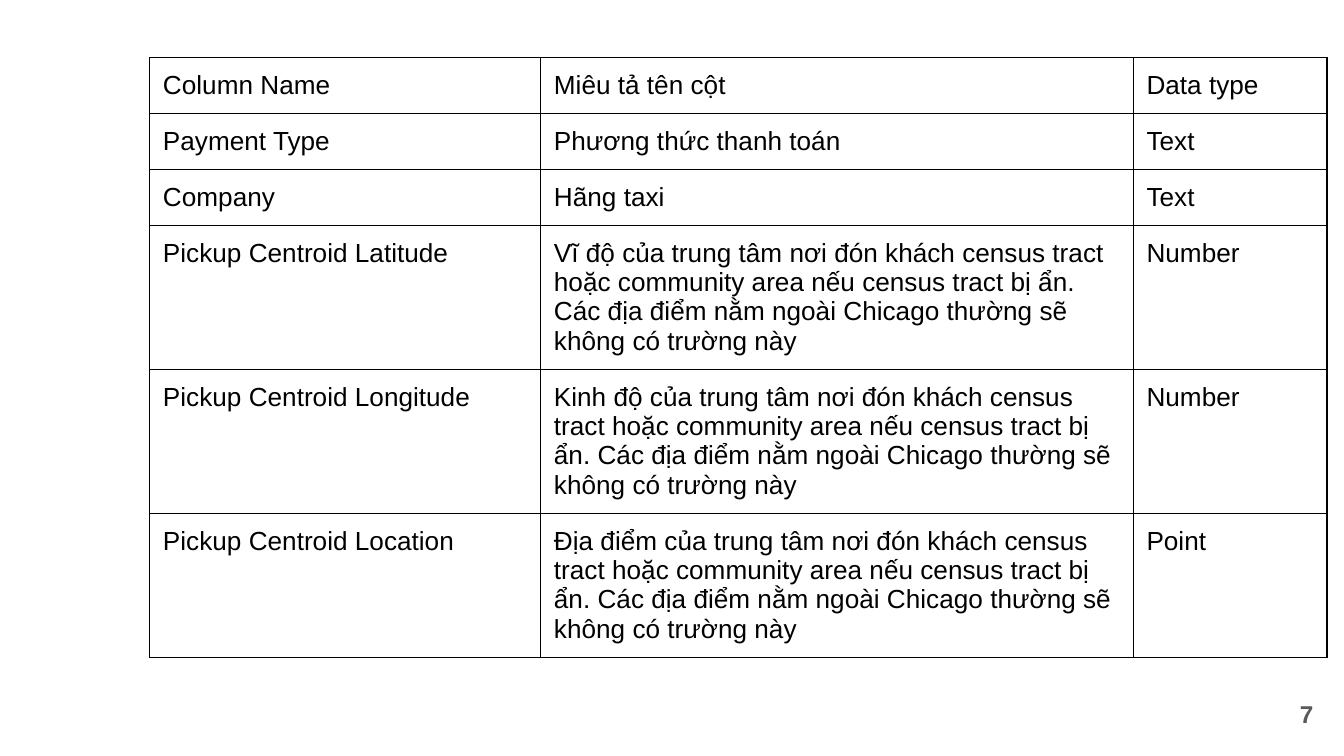
from dataclasses import dataclass

from lxml import etree
from pptx import Presentation
from pptx.dml.color import RGBColor
from pptx.enum.text import MSO_ANCHOR, PP_ALIGN
from pptx.oxml.ns import qn
from pptx.util import Cm, Pt

LEFT, RIGHT = PP_ALIGN.LEFT, PP_ALIGN.RIGHT
TOP, MIDDLE = MSO_ANCHOR.TOP, MSO_ANCHOR.MIDDLE
BLANK_LAYOUT = 6


@dataclass(frozen=True)
class Theme:
    font: str = "Arial"
    ink: str = "000000"
    muted: str = "595959"
    body_size: float = 14
    number_size: float = 13
    border_width: float = 0.75
    padding: float = 0.25


THEME = Theme()

COLUMN_WIDTHS = (7.39, 11.2, 3.66)
ROW_HEIGHTS = (0.99, 0.99, 0.56, 2.44, 2.44, 2.44)

CENTROID_NOTE = (
    "{} của trung tâm nơi đón khách census tract hoặc community area "
    "nếu census tract bị ẩn. Các địa điểm nằm ngoài Chicago thường sẽ "
    "không có trường này"
)

FIELDS = (
    ("Column Name", "Miêu tả tên cột", "Data type"),
    ("Payment Type", "Phương thức thanh toán", "Text"),
    ("Company", "Hãng taxi", "Text"),
    ("Pickup Centroid Latitude", CENTROID_NOTE.format("Vĩ độ"), "Number"),
    ("Pickup Centroid Longitude", CENTROID_NOTE.format("Kinh độ"), "Number"),
    ("Pickup Centroid Location", CENTROID_NOTE.format("Địa điểm"), "Point"),
)


def write_text(frame, text, size=THEME.body_size, color=THEME.ink, bold=False, align=LEFT):
    frame.word_wrap = True
    paragraph = frame.paragraphs[0]
    paragraph.alignment = align
    run = paragraph.add_run()
    run.text = text
    run.font.name = THEME.font
    run.font.size = Pt(size)
    run.font.bold = bold
    run.font.color.rgb = RGBColor.from_string(color)


def pad(holder):
    holder.margin_left = holder.margin_right = Cm(THEME.padding)
    holder.margin_top = holder.margin_bottom = Cm(THEME.padding)


def border_cell(cell):
    properties = cell._tc.get_or_add_tcPr()
    for position, side in enumerate(("lnL", "lnR", "lnT", "lnB")):
        line = etree.Element(qn(f"a:{side}"), w=str(Pt(THEME.border_width)))
        fill = etree.SubElement(line, qn("a:solidFill"))
        etree.SubElement(fill, qn("a:srgbClr"), val=THEME.ink)
        properties.insert(position, line)


def add_field_table(slide, left, top, width, height):
    table = slide.shapes.add_table(
        len(FIELDS), len(COLUMN_WIDTHS), Cm(left), Cm(top), Cm(width), Cm(height)
    ).table
    table.first_row = False
    table.horz_banding = False
    for column, share in zip(table.columns, COLUMN_WIDTHS):
        column.width = Cm(width * share / sum(COLUMN_WIDTHS))
    for row, share, field in zip(table.rows, ROW_HEIGHTS, FIELDS):
        row.height = Cm(height * share / sum(ROW_HEIGHTS))
        for cell, text in zip(row.cells, field):
            pad(cell)
            cell.vertical_anchor = TOP
            cell.fill.background()
            border_cell(cell)
            write_text(cell.text_frame, text)


def add_page_number(slide, left, top, width, height, number):
    frame = slide.shapes.add_textbox(Cm(left), Cm(top), Cm(width), Cm(height)).text_frame
    pad(frame)
    frame.vertical_anchor = MIDDLE
    write_text(
        frame, number, size=THEME.number_size, color=THEME.muted, bold=True, align=RIGHT
    )


def main():
    deck = Presentation()
    deck.slide_width, deck.slide_height = Cm(25.4), Cm(14.29)
    slide = deck.slides.add_slide(deck.slide_layouts[BLANK_LAYOUT])
    add_field_table(slide, 2.83, 1.09, sum(COLUMN_WIDTHS), sum(ROW_HEIGHTS))
    add_page_number(slide, 23.55, 12.95, 1.52, 1.09, "7")
    deck.save("out.pptx")


if __name__ == "__main__":
    main()
